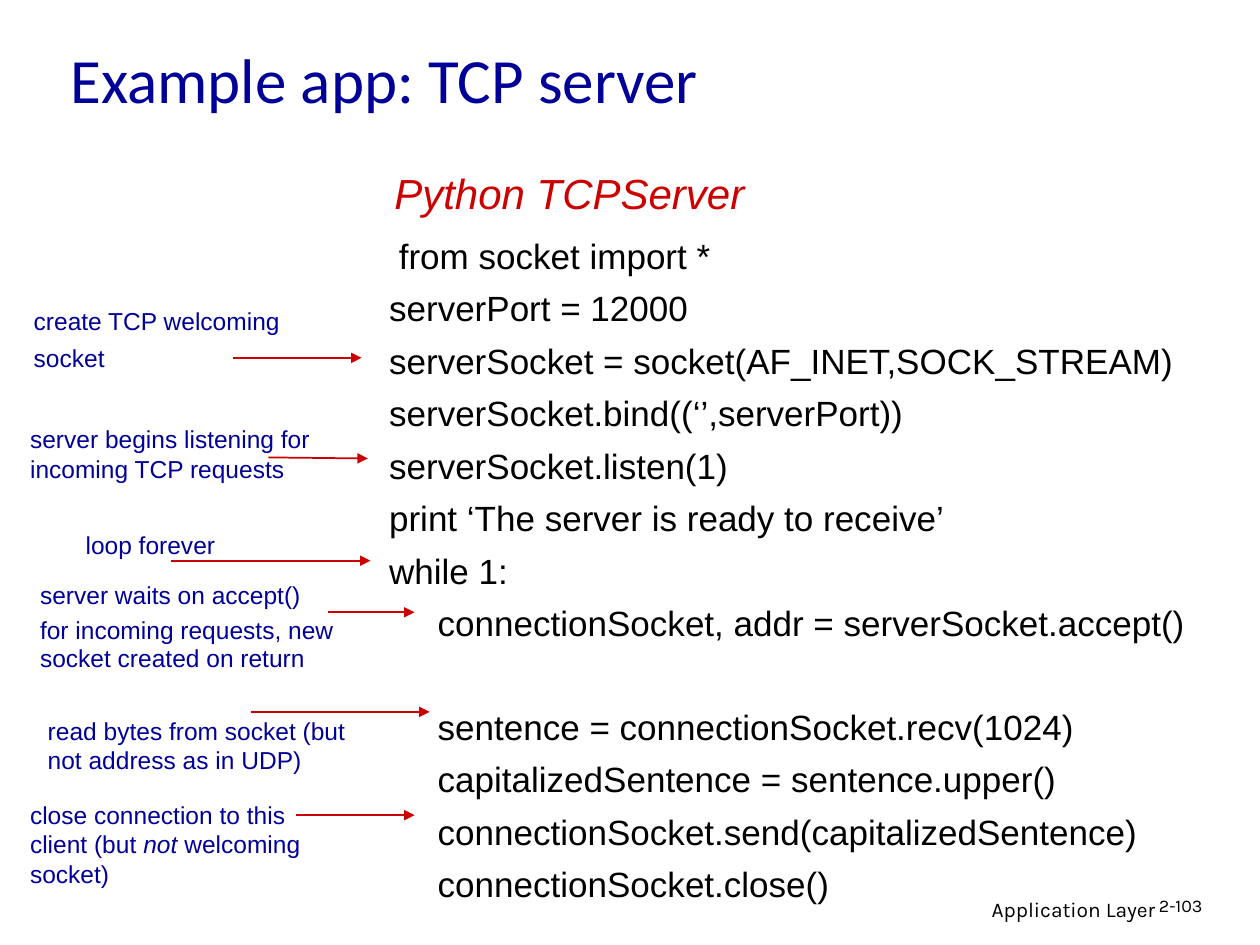
from dataclasses import dataclass

from lxml import etree
from pptx import Presentation
from pptx.dml import color
from pptx.enum import shapes, text
from pptx.oxml import ns
from pptx.util import Pt

NAVY, RED, BLACK = "000099", "CC0000", "000000"
INDENT = " " * 5


@dataclass(frozen=True)
class Run:
    words: str
    italic: bool = False


@dataclass(frozen=True)
class Line:
    runs: tuple[Run, ...]
    before: float = 0
    spacing: object = None
    align: object = text.PP_ALIGN.LEFT


@dataclass(frozen=True)
class Style:
    font: str
    size: float
    color: str


@dataclass(frozen=True)
class Note:
    box: tuple[float, float, float, float]
    paragraphs: tuple[tuple[Run, ...], ...]
    start: tuple[float, float]
    end: tuple[float, float]
    gap: float = 4
    spacing: object = None


TITLE = Style("Calibri", 36, NAVY)
HEADING = Style("Arial", 24, RED)
CODE = Style("Arial", 20, BLACK)
NOTE = Style("Arial", 14, NAVY)
FOOTER = Style("Karla", 12, BLACK)
NUMBER = Style("Karla", 10.2, BLACK)

CODE_LINES = (
    (" from socket import *", 0),
    ("serverPort = 12000", 6),
    ("serverSocket = socket(AF_INET,SOCK_STREAM)", 6),
    ("serverSocket.bind((‘’,serverPort))", 6),
    ("serverSocket.listen(1)", 6),
    ("print ‘The server is ready to receive’", 6),
    ("while 1:", 6),
    (INDENT + "connectionSocket, addr = serverSocket.accept()", 6),
    (INDENT + "sentence = connectionSocket.recv(1024)", 35),
    (INDENT + "capitalizedSentence = sentence.upper()", 6),
    (INDENT + "connectionSocket.send(capitalizedSentence)", 6),
    (INDENT + "connectionSocket.close()", 6),
)

NOTES = (
    Note((12.2, 171.4, 201.6, 44.6),
         ((Run("create TCP welcoming"),), (Run("socket"),)),
         (133.2, 204.5), (206.6, 204.5)),
    Note((10.1, 239, 178.6, 41),
         ((Run("server begins listening for incoming TCP requests"),),),
         (153.4, 261.4), (210.2, 262)),
    Note((41.8, 300.2, 94.3, 23), ((Run("loop forever"),),),
         (97.9, 320.4), (211.7, 320.4), spacing=Pt(16)),
    Note((15.8, 329, 202.3, 59),
         ((Run("server waits on accept()"),),
          (Run("for incoming requests, new socket created on return"),)),
         (187.2, 349.9), (236.9, 349.9), gap=3.5, spacing=Pt(16)),
    Note((20.2, 405.4, 185, 41),
         ((Run("read bytes from socket (but not address as in UDP)"),),),
         (143.3, 406.8), (245.5, 406.8)),
    Note((10.1, 453.6, 185, 57.6),
         ((Run("close connection to this client (but "), Run("not", True),
           Run(" welcoming socket)")),),
         (169.2, 465.8), (236.9, 465.8)),
)


def rgb(value: str) -> color.RGBColor:
    return color.RGBColor.from_string(value)


def apply(target, formats: dict) -> None:
    for key, value in formats.items():
        setattr(target, key, value)


def fill_text(frame, lines: list[Line], style: Style,
              anchor=text.MSO_ANCHOR.TOP) -> None:
    apply(frame, {
        "word_wrap": True, "auto_size": text.MSO_AUTO_SIZE.NONE,
        "vertical_anchor": anchor,
        "margin_left": Pt(7.2), "margin_right": Pt(7.2),
        "margin_top": Pt(3.6), "margin_bottom": Pt(3.6),
    })
    for index, line in enumerate(lines):
        paragraph = frame.add_paragraph() if index else frame.paragraphs[0]
        apply(paragraph, {
            "alignment": line.align, "space_before": Pt(line.before),
            "line_spacing": line.spacing,
        })
        for part in line.runs:
            run = paragraph.add_run()
            run.text = part.words
            apply(run.font, {
                "name": style.font, "size": Pt(style.size),
                "italic": part.italic,
            })
            run.font.color.rgb = rgb(style.color)


def add_text(slide, box: tuple, lines: list[Line], style: Style) -> None:
    holder = slide.shapes.add_textbox(*map(Pt, box))
    fill_text(holder.text_frame, lines, style)


def add_arrow(slide, start: tuple, end: tuple) -> None:
    arrow = slide.shapes.add_connector(
        shapes.MSO_CONNECTOR.STRAIGHT, *map(Pt, start + end))
    arrow.line.width = Pt(1)
    arrow.line.color.rgb = rgb(RED)
    etree.SubElement(arrow.line._get_or_add_ln(), ns.qn("a:tailEnd"),
                     type="triangle")
    etree.SubElement(arrow._element.spPr, ns.qn("a:effectLst"))


def add_note(slide, note: Note) -> None:
    lines = [Line(runs, note.gap if index else 0, note.spacing)
             for index, runs in enumerate(note.paragraphs)]
    add_text(slide, note.box, lines, NOTE)
    add_arrow(slide, note.start, note.end)


def main() -> None:
    deck = Presentation()
    apply(deck, {"slide_width": Pt(720), "slide_height": Pt(540)})
    slide = deck.slides.add_slide(deck.slide_layouts.get_by_name("Title Only"))

    title = slide.shapes.title
    apply(title, {"left": Pt(33.1), "top": Pt(7.2),
                  "width": Pt(612), "height": Pt(74.9)})
    fill_text(title.text_frame, [Line((Run("Example app: TCP server"),))],
              TITLE, text.MSO_ANCHOR.MIDDLE)

    add_text(slide, (439.2, 509, 228.2, 22.3),
             [Line((Run("Application Layer"),), align=text.PP_ALIGN.RIGHT)],
             FOOTER)
    add_text(slide, (655.2, 509, 53.3, 21.6),
             [Line((Run("2-103"),), spacing=0.9)], NUMBER)
    add_text(slide, (215.3, 130.3, 490, 379.4),
             [Line((Run(code),), before) for code, before in CODE_LINES], CODE)
    add_text(slide, (218.2, 92.2, 220, 36),
             [Line((Run("Python TCPServer", True),))], HEADING)
    for note in NOTES:
        add_note(slide, note)

    deck.save("out.pptx")


if __name__ == "__main__":
    main()
